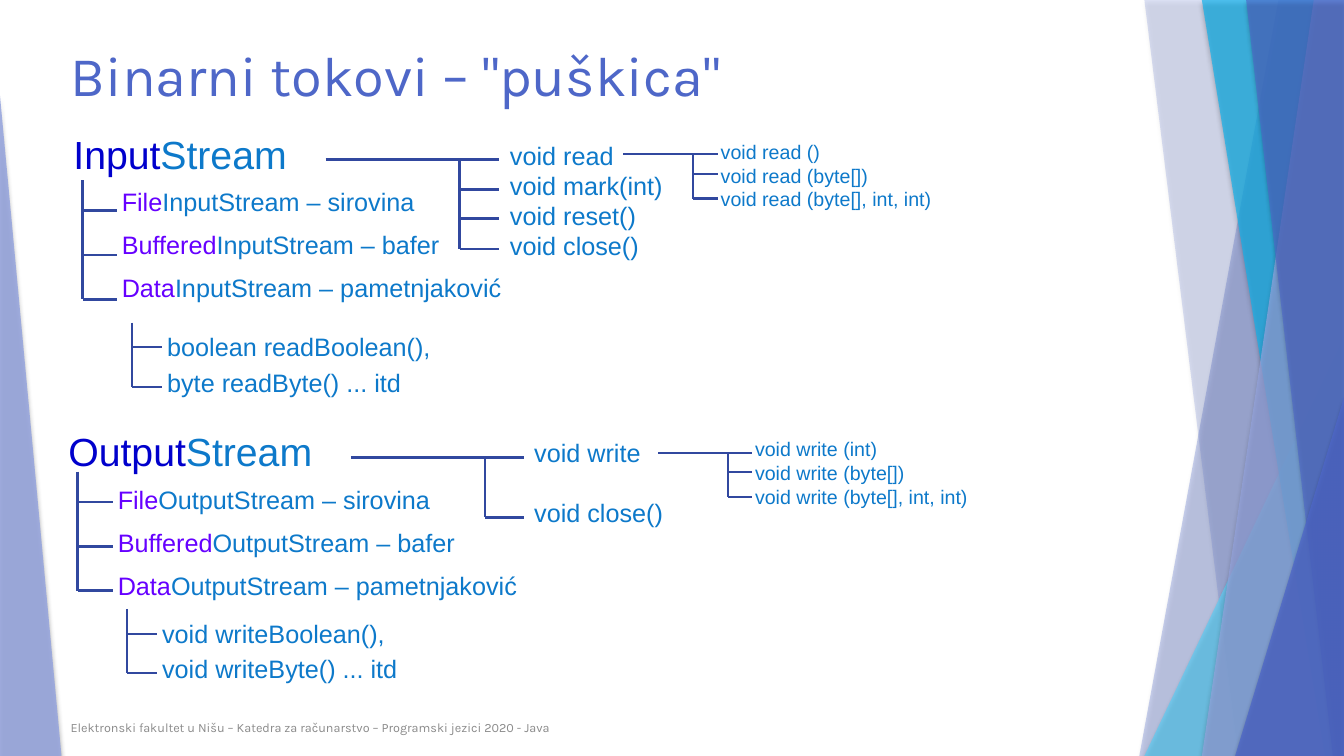
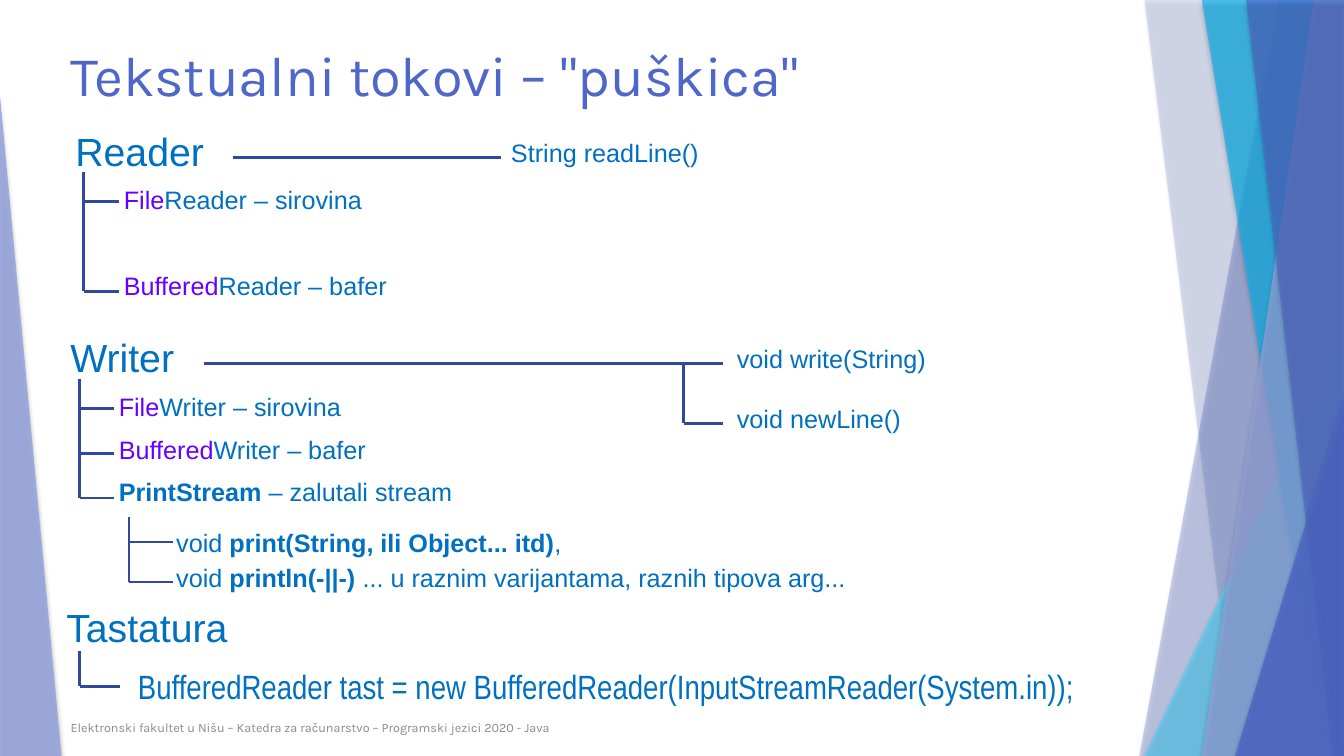
"""Build two cheat-sheet slides about Java binary and text streams."""
from copy import deepcopy
from dataclasses import dataclass

from lxml.etree import SubElement
from pptx import Presentation
from pptx.dml.color import RGBColor
from pptx.enum.shapes import MSO_CONNECTOR, MSO_SHAPE, PP_PLACEHOLDER
from pptx.enum.text import MSO_ANCHOR, MSO_AUTO_SIZE, PP_ALIGN
from pptx.oxml.ns import qn
from pptx.util import Inches, Pt


@dataclass(frozen=True)
class Theme:
    indigo: str = "4E67C8"
    lavender: str = "95A4DE"
    sky: str = "5ECCF3"
    cyan: str = "12B2EB"
    grey: str = "8B8B8B"
    navy: str = "0000CC"
    violet: str = "6600FF"
    azure: str = "0D79CA"
    blue: str = "0070C0"
    branch: str = "31489F"
    brand_font: str = "Karla"
    font: str = "Arial"
    narrow_font: str = "Arial Narrow"
    title: int = 40
    heading: int = 28
    code: int = 24
    body: int = 18
    small: int = 14
    footer: int = 9
    thick: float = 2
    thin: float = 1.5


theme = Theme()


def write_text(frame, paragraphs, size, font=theme.font, gap=0, anchor=MSO_ANCHOR.TOP):
    frame.word_wrap = True
    frame.auto_size = MSO_AUTO_SIZE.NONE
    frame.vertical_anchor = anchor
    for index, runs in enumerate(paragraphs):
        paragraph = frame.add_paragraph() if index else frame.paragraphs[0]
        paragraph.alignment = PP_ALIGN.LEFT
        paragraph.space_before = Pt(gap)
        for text, colour, *bold in runs:
            run = paragraph.add_run()
            run.text = text
            run.font.size = Pt(size)
            run.font.name = font
            run.font.bold = bool(bold)
            run.font.color.rgb = RGBColor.from_string(colour)


def draw_bracket(slide, trunk, tip, top, branches, weight=theme.thick, lead=None):
    segments = [(trunk, y, tip, y) for y in branches]
    if lead is not None:
        segments[0] = (lead, branches[0], tip, branches[0])
    if branches[-1] > top:
        segments.append((trunk, top, trunk, branches[-1]))
    for segment in segments:
        line = slide.shapes.add_connector(MSO_CONNECTOR.STRAIGHT, *map(Inches, segment))
        line.line.color.rgb = RGBColor.from_string(theme.branch)
        line.line.width = Pt(weight)
        SubElement(line.element.spPr, qn("a:effectLst"))


presentation = Presentation()
presentation.slide_width = Inches(13.33)
presentation.slide_height = Inches(7.5)
layout = presentation.slide_layouts[5]
slides = [presentation.slides.add_slide(layout) for _ in range(2)]

bottom, right = 7.5, 13.33
bands = [
    ([(12.68, 0), (right, 0), (right, bottom), (11.3, bottom)], theme.indigo, 30),
    ([(11.35, 0), (right, 0), (right, bottom), (12.28, bottom)], theme.indigo, 20),
    ((11.35, 3.34, 1.98, 4.16, 1), theme.sky, 72),
    ([(11.92, 0), (right, 0), (right, bottom), (13.14, bottom)], theme.cyan, 70),
    ([(13.03, 0), (right, 0), (right, bottom), (11.92, bottom)], theme.lavender, 70),
    ([(12.36, 0), (right, 0), (right, bottom), (13.22, bottom)], theme.indigo, 65),
    ((12.25, 3.94, 1.08, 3.56, 1), theme.indigo, 80),
    ((0, 0.95, 0.61, 6.55, 0), theme.lavender, 85),
]
for number, (outline, colour, opacity) in enumerate(bands):
    if isinstance(outline, list):
        corners = [(Inches(x), Inches(y)) for x, y in outline]
        builder = slides[0].shapes.build_freeform(*corners[0])
        builder.add_line_segments(corners[1:], close=True)
        band = builder.convert_to_shape()
    else:
        *box, apex = outline
        band = slides[0].shapes.add_shape(MSO_SHAPE.ISOSCELES_TRIANGLE, *map(Inches, box))
        band.adjustments[0] = apex
    band.fill.solid()
    band.fill.fore_color.rgb = RGBColor.from_string(colour)
    band.line.fill.background()
    band.shadow.inherit = False
    properties = band.element.spPr
    fill_colour = properties.find(qn("a:solidFill")).find(qn("a:srgbClr"))
    SubElement(fill_colour, qn("a:alpha"), val=str(opacity * 1000))
    shadow = SubElement(properties.find(qn("a:effectLst")), qn("a:outerShdw"),
                        blurRad=str(Pt(3)), dist=str(Pt(2)), dir="5400000", rotWithShape="0")
    shadow_colour = SubElement(shadow, qn("a:srgbClr"), val="000000")
    SubElement(shadow_colour, qn("a:alpha"), val="35000")
    band.element.xpath(".//p:cNvPr")[0].set("id", str(100 + number))
    layout.shapes.element.append(band.element)

footer = next(shape for shape in layout.placeholders
              if shape.placeholder_format.type == PP_PLACEHOLDER.FOOTER)
footer.left, footer.top, footer.width, footer.height = map(Inches, (0.6, 7.02, 7.03, 0.4))
footer_text = "Elektronski fakultet u Nišu – Katedra za računarstvo – Programski jezici 2020 - Java"
write_text(footer.text_frame, [[(footer_text, theme.grey)]], theme.footer,
           font=theme.brand_font, anchor=MSO_ANCHOR.MIDDLE)

titles = ['Binarni tokovi – "puškica"', 'Tekstualni tokovi – "puškica"']
for slide, title_text in zip(slides, titles):
    title = slide.shapes.title
    title.left, title.top, title.width, title.height = map(Inches, (0.6, 0.35, 10.98, 0.71))
    write_text(title.text_frame, [[(title_text, theme.indigo)]], theme.title, font=theme.brand_font)
    slide.shapes.element.append(deepcopy(footer.element))

azure, blue, violet = theme.azure, theme.blue, theme.violet
heading = {"size": theme.heading, "gap": 14}
classes = {"size": theme.body, "gap": 9}
methods = {"size": theme.body}
spread_methods = {"size": theme.body, "gap": 21}
overloads = {"size": theme.small}
details = {"size": theme.body, "gap": 3.6}

stream_classes = {
    family: [[(prefix, violet), (f"{family}Stream – {role}", azure)]
             for prefix, role in [("File", "sirovina"), ("Buffered", "bafer"),
                                  ("Data", "pametnjaković")]]
    for family in ("Input", "Output")
}
overload_lines = {
    verb: [[(f"void {verb} ({arguments})", azure)]
           for arguments in (first, "byte[]", "byte[], int, int")]
    for verb, first in [("read", ""), ("write", "int")]
}
input_methods = ["void read", "void mark(int)", "void reset()", "void close()"]

binary_texts = [
    ((0.63, 1.24, 2.5, 0.57), [[("Input", theme.navy), ("Stream", azure)]], heading),
    ((1.11, 1.8, 4.33, 1.25), stream_classes["Input"], classes),
    ((4.96, 1.34, 1.77, 1.3), [[(method, azure)] for method in input_methods], methods),
    ((7.05, 1.34, 2.53, 0.8), overload_lines["read"], overloads),
    ((1.56, 3.24, 2.83, 0.75),
     [[("boolean readBoolean(),", azure)], [("byte readByte() ... itd", azure)]], details),
    ((0.58, 4.19, 2.79, 0.57), [[("Output", theme.navy), ("Stream", azure)]], heading),
    ((1.07, 4.76, 4.33, 1.25), stream_classes["Output"], classes),
    ((5.2, 4.29, 1.77, 1), [[("void write", azure)], [("void close()", azure)]], spread_methods),
    ((7.39, 4.29, 2.53, 0.8), overload_lines["write"], overloads),
    ((1.51, 6.08, 2.83, 0.75),
     [[("void writeBoolean(),", azure)], [("void writeByte() ... itd", azure)]], details),
]
character_texts = [
    ((0.65, 1.21, 2.5, 0.57), [[("Reader", blue)]], heading),
    ((1.13, 1.78, 4.33, 1.25),
     [[("File", violet), ("Reader – sirovina", blue)],
      [("Buffered", violet), ("Reader – bafer", blue)]], {"size": theme.body, "gap": 40}),
    ((4.97, 1.31, 2.66, 0.4), [[("String readLine()", blue)]], methods),
    ((0.6, 3.26, 2.79, 0.57), [[("Writer", blue)]], heading),
    ((1.08, 3.83, 4.33, 1.25),
     [[("File", violet), ("Writer – sirovina", blue)],
      [("Buffered", violet), ("Writer – bafer", blue)],
      [("PrintStream", blue, True), (" – zalutali stream", blue)]], classes),
    ((7.21, 3.36, 2.24, 1),
     [[("void write(String)", blue)], [("void newLine()", blue)]], spread_methods),
    ((1.65, 5.18, 7.5, 0.75),
     [[("void ", blue), ("print(String, ili Object... itd)", blue, True), (",", blue)],
      [("void ", blue), ("println(-||-)", blue, True),
       (" ... u raznim varijantama, raznih tipova arg...", blue)]], details),
    ((0.56, 5.94, 2.79, 0.57), [[("Tastatura", blue)]], heading),
    ((1.27, 6.56, 9.9, 0.5),
     [[("BufferedReader tast = new BufferedReader(InputStreamReader(System.in));", blue)]],
     {"size": theme.code, "font": theme.narrow_font}),
]
for slide, texts in zip(slides, [binary_texts, character_texts]):
    for box, paragraphs, text_format in texts:
        text_box = slide.shapes.add_textbox(*map(Inches, box))
        write_text(text_box.text_frame, paragraphs, **text_format)

thin = {"weight": theme.thin}
binary_brackets = [
    ((0.82, 1.16, 1.79, [2.09, 2.53, 2.97]), {}),
    ((4.56, 4.95, 1.58, [1.58, 1.88, 2.17, 2.47]), {"lead": 3.23}),
    ((6.87, 7.12, 1.53, [1.53, 1.73, 1.97]), {"lead": 6.18, **thin}),
    ((1.31, 1.61, 3.2, [3.44, 3.84]), thin),
    ((0.77, 1.12, 4.68, [4.98, 5.42, 5.86]), {}),
    ((4.81, 5.2, 4.54, [4.54, 5.13]), {"lead": 3.48}),
    ((7.22, 7.46, 4.49, [4.49, 4.68, 4.93]), {"lead": 6.53, **thin}),
    ((1.26, 1.56, 6.04, [6.29, 6.68]), thin),
]
character_brackets = [
    ((0.83, 1.18, 1.71, [2, 2.89]), {}),
    ((2.31, 4.97, 1.56, [1.56]), {}),
    ((0.79, 1.13, 3.76, [4.05, 4.5, 4.94]), {}),
    ((6.78, 7.17, 3.61, [3.61, 4.2]), {"lead": 2.02}),
    ((1.28, 1.72, 5.13, [5.38, 5.77]), thin),
    ((0.79, 1.19, 6.46, [6.81]), {}),
]
for slide, brackets in zip(slides, [binary_brackets, character_brackets]):
    for measures, line_format in brackets:
        draw_bracket(slide, *measures, **line_format)

presentation.save("out.pptx")
